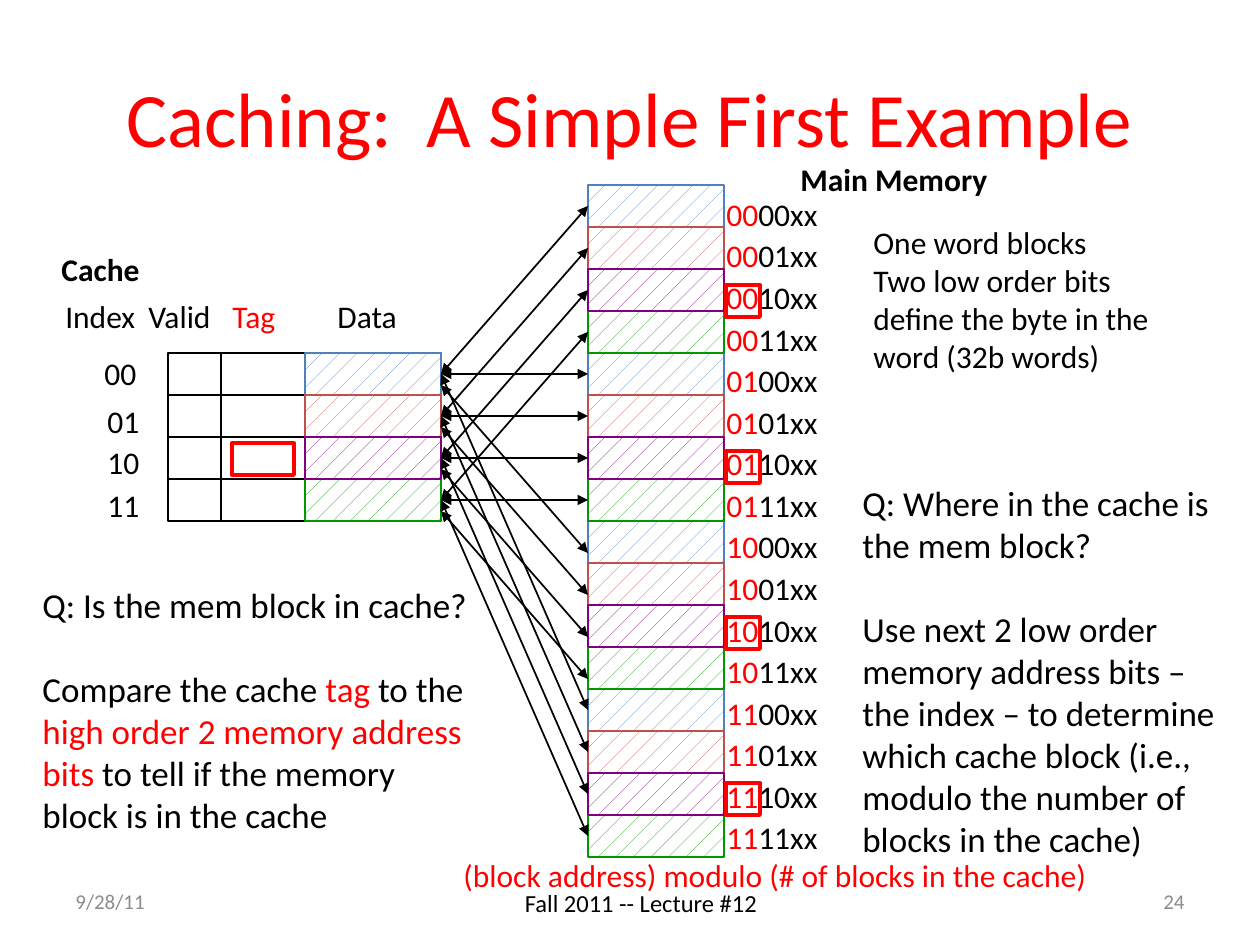
from dataclasses import dataclass

from lxml import etree
from pptx import Presentation
from pptx.dml.color import RGBColor
from pptx.enum.dml import MSO_PATTERN
from pptx.enum.shapes import MSO_CONNECTOR, MSO_SHAPE
from pptx.enum.text import MSO_ANCHOR, MSO_AUTO_SIZE, PP_ALIGN
from pptx.oxml.ns import qn
from pptx.util import Pt

RECTANGLE = MSO_SHAPE.RECTANGLE
STRAIGHT = MSO_CONNECTOR.STRAIGHT
DOTS = MSO_PATTERN.PERCENT_5
LEFT, CENTER, RIGHT = PP_ALIGN.LEFT, PP_ALIGN.CENTER, PP_ALIGN.RIGHT
TOP, MIDDLE = MSO_ANCHOR.TOP, MSO_ANCHOR.MIDDLE
EMU_PER_PX = 914400 / 126
LEFT_SIDE, RIGHT_SIDE = 1, 3


@dataclass(frozen=True)
class Theme:
    font: str = "Calibri"
    black: str = "000000"
    white: str = "FFFFFF"
    red: str = "FF0000"
    gray: str = "8C8C8C"
    blocks: tuple = ("4F81BD", "C0504D", "800080", "009900")
    title: int = 44
    question: int = 20
    label: int = 18
    footer: int = 14
    small: int = 12
    thin: float = 1
    thick: float = 2.25
    gap: int = 24


THEME = Theme()
BLACK, RED = THEME.black, THEME.red

# Content: a paragraph is a list of (text, colour) runs
TITLE = "Caching:  A Simple First Example"
INDEXES = ["00", "01", "10", "11"]
# text, colour, bold, box
LABELS = [
    ("Cache", BLACK, True, (49, 244, 120, 50)),
    ("Main Memory", BLACK, True, (788, 154, 227, 50)),
    ("Index", BLACK, False, (53, 291, 102, 50)),
    ("Valid", BLACK, False, (136, 291, 96, 50)),
    ("Tag", RED, False, (220, 291, 68, 50)),
    ("Data", BLACK, False, (325, 291, 92, 50)),
]
INDEX_BOXES = [(92, 348, 60, 50), (95, 396, 60, 50),
               (95, 437, 60, 50), (95, 480, 60, 50)]
WHERE_QUESTION = [
    [("Q: Where in the cache is the mem block?", BLACK)],
    [("Use next 2 low order memory address bits – the index – to determine "
      "which cache block (i.e., modulo the number of blocks in the cache)", BLACK)],
]
HIT_QUESTION = [
    [("Q: Is the mem block in cache?", BLACK)],
    [("Compare the cache ", BLACK), ("tag ", RED), ("to the ", BLACK),
     ("high order 2 memory address bits ", RED),
     ("to tell if the memory block is in the cache", BLACK)],
]
BLOCK_NOTE = [
    [("One word blocks", BLACK)],
    [("Two low order bits define the byte in the word (32b words)", BLACK)],
]
MODULO = "(block address) modulo (# of blocks in the cache)"
ADDRESSES = [[(tag, RED), (index + "xx", BLACK)] for tag in INDEXES for index in INDEXES]

# Layout
ROW = 42
MEMORY_X, MEMORY_Y, BLOCK_WIDTH = 588, 185, 136
MEMORY_RIGHT = MEMORY_X + BLOCK_WIDTH
CACHE_Y = MEMORY_Y + 4 * ROW
VALID_X, TAG_X, DATA_X = 168, 221, 305
DATA_RIGHT = DATA_X + BLOCK_WIDTH
MARK_BOXES = [(232, 443, 62, 32)] + [(726, 285 + 166 * group, 34, 32) for group in range(4)]

presentation = Presentation()


def px(value):
    return round(value * EMU_PER_PX)


presentation.slide_width, presentation.slide_height = px(1260), px(945)
slide = presentation.slides.add_slide(presentation.slide_layouts[6])


def color(value):
    return RGBColor.from_string(value)


def add_text(box, paragraphs, size, bold=False, wrap=True, grow=True, align=LEFT,
             anchor=TOP, gap=0, spacing=None):
    frame = slide.shapes.add_textbox(*map(px, box)).text_frame
    frame.word_wrap = wrap
    frame.auto_size = MSO_AUTO_SIZE.SHAPE_TO_FIT_TEXT if grow else MSO_AUTO_SIZE.NONE
    frame.vertical_anchor = anchor
    for number, runs in enumerate(paragraphs):
        paragraph = frame.add_paragraph() if number else frame.paragraphs[0]
        paragraph.alignment = align
        if number and gap:
            paragraph.space_before = Pt(gap)
        if spacing:
            paragraph.line_spacing = spacing
        for text, text_color in runs:
            run = paragraph.add_run()
            run.text = text
            run.font.name, run.font.size, run.font.bold = THEME.font, Pt(size), bold
            run.font.color.rgb = color(text_color)


def add_rectangle(box, line_color, width=THEME.thin, pattern=False):
    shape = slide.shapes.add_shape(RECTANGLE, *map(px, box))
    shape.shadow.inherit = False
    shape.line.color.rgb, shape.line.width = color(line_color), Pt(width)
    if pattern:
        shape.fill.patterned()
        shape.fill.pattern = DOTS
        shape.fill.fore_color.rgb = color(line_color)
        shape.fill.back_color.rgb = color(THEME.white)
    else:
        shape.fill.background()
    return shape


def add_line(x1, y1, x2, y2, arrows=False):
    connector = slide.shapes.add_connector(STRAIGHT, *map(px, (x1, y1, x2, y2)))
    connector.line.color.rgb, connector.line.width = color(BLACK), Pt(THEME.thin)
    if arrows:
        for end in ("a:headEnd", "a:tailEnd"):
            etree.SubElement(connector.line._get_or_add_ln(), qn(end), type="triangle")
    etree.SubElement(connector._element.spPr, qn("a:effectLst"))
    return connector


# Title
add_text((63, 38, 1134, 157), [[(TITLE, RED)]], THEME.title,
         grow=False, align=CENTER, anchor=MIDDLE)

# Cache columns: valid, tag, data
for left, right in ((VALID_X, TAG_X), (TAG_X, DATA_X), (DATA_X, DATA_RIGHT)):
    add_rectangle((left, CACHE_Y, right - left, 4 * ROW), BLACK)
    for row in range(1, 4):
        add_line(left, CACHE_Y + row * ROW, right, CACHE_Y + row * ROW)

# Memory grid
for row in range(17):
    add_line(MEMORY_X, MEMORY_Y + row * ROW, MEMORY_RIGHT, MEMORY_Y + row * ROW)
add_line(MEMORY_X, MEMORY_Y, MEMORY_X, MEMORY_Y + 12 * ROW)
add_line(MEMORY_RIGHT, MEMORY_Y, MEMORY_RIGHT, MEMORY_Y + 16 * ROW)

# Blocks, coloured by index
cache, memory = {}, {}
for index in (0, 3, 1, 2):
    block_color = THEME.blocks[index]
    cache[index] = add_rectangle((DATA_X, CACHE_Y + index * ROW, BLOCK_WIDTH, ROW),
                                 block_color, pattern=True)
    for row in range(index, 16, 4):
        memory[row] = add_rectangle((MEMORY_X, MEMORY_Y + row * ROW, BLOCK_WIDTH, ROW),
                                    block_color, pattern=True)

# Arrows from each memory block to its cache block
for row in range(16):
    group, index = divmod(row, 4)
    drop = 32 if group == 2 else ROW / 2
    arrow = add_line(MEMORY_X, MEMORY_Y + row * ROW + drop,
                     DATA_RIGHT, CACHE_Y + index * ROW + drop, arrows=True)
    if group != 2:
        arrow.begin_connect(memory[row], LEFT_SIDE)
        arrow.end_connect(cache[index], RIGHT_SIDE)

# Labels and addresses
for text, text_color, bold, box in LABELS:
    add_text(box, [[(text, text_color)]], THEME.label, bold=bold, wrap=False)
for text, box in zip(INDEXES, INDEX_BOXES):
    add_text(box, [[(text, BLACK)]], THEME.label, wrap=False)
add_text((714, 185, 136, 678), ADDRESSES, THEME.label, spacing=1.1)

# Explanations
add_text((850, 475, 378, 394), WHERE_QUESTION, THEME.question, gap=THEME.gap)
add_text((30, 577, 452, 267), HIT_QUESTION, THEME.question, gap=THEME.gap)
add_text((861, 217, 346, 165), BLOCK_NOTE, THEME.label)
add_text((451, 850, 756, 50), [[(MODULO, RED)]], THEME.label)

# Marks around the tags
for box in MARK_BOXES:
    add_rectangle(box, RED, THEME.thick)

# Footer
add_text((441, 882, 400, 50), [[("Fall 2011 -- Lecture #12", BLACK)]], THEME.footer,
         grow=False, align=CENTER)
add_text((63, 876, 294, 50), [[("9/28/11", THEME.gray)]], THEME.small,
         grow=False, anchor=MIDDLE)
add_text((903, 876, 294, 50), [[("24", THEME.gray)]], THEME.small,
         grow=False, align=RIGHT, anchor=MIDDLE)

presentation.save("out.pptx")
